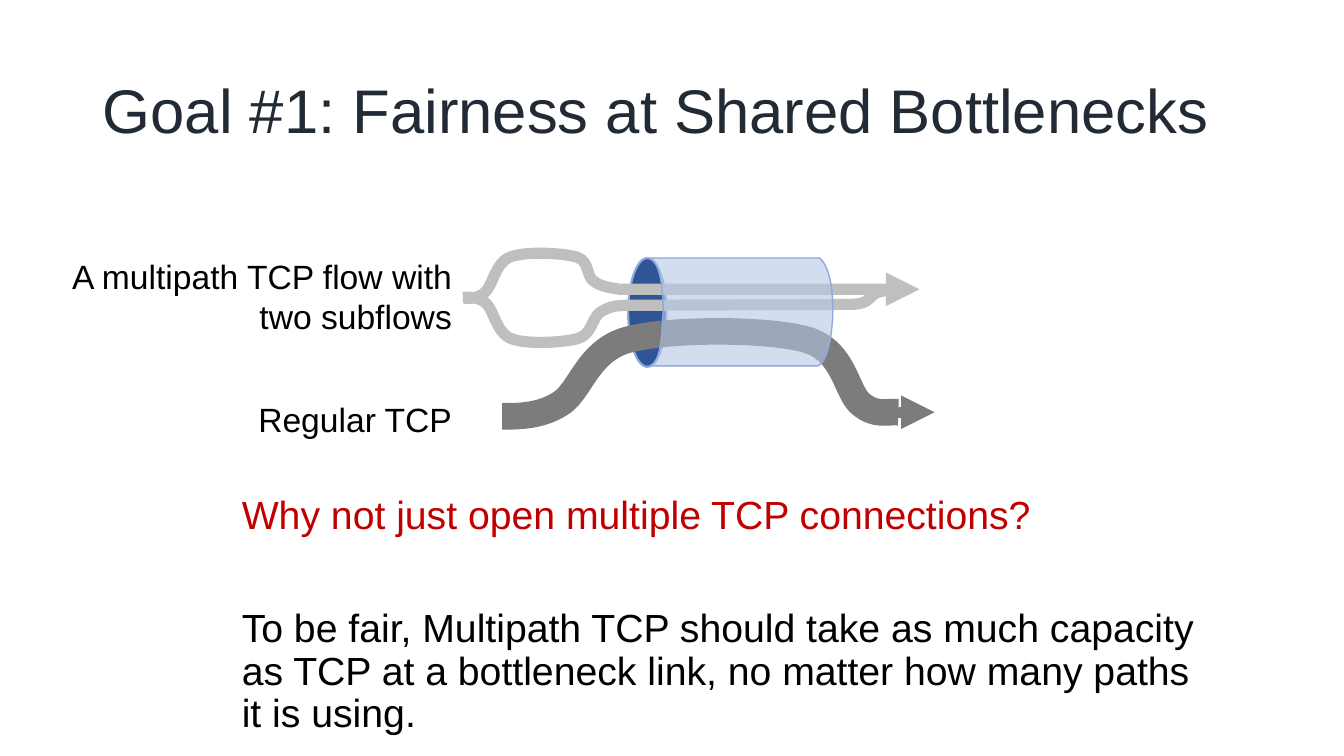
from lxml.etree import SubElement
from pptx import Presentation
from pptx.dml.color import RGBColor
from pptx.enum.shapes import MSO_CONNECTOR, MSO_SHAPE
from pptx.enum.text import MSO_ANCHOR, MSO_AUTO_SIZE, PP_ALIGN
from pptx.oxml.ns import qn
from pptx.util import Inches, Pt

NAVY = RGBColor(0x22, 0x2A, 0x35)
RED = RGBColor(0xC0, 0x00, 0x00)
BLACK = RGBColor(0, 0, 0)
PIPE_DARK = RGBColor(0x2F, 0x55, 0x97)
PIPE_EDGE = RGBColor(0x8F, 0xAA, 0xDC)
PIPE_LIGHT = RGBColor(0xB4, 0xC7, 0xE7)
LIGHT_GREY = RGBColor(0xBF, 0xBF, 0xBF)
DARK_GREY = RGBColor(0x7C, 0x7C, 0x7C)

# Content: text as (text, colour, space before)
TITLE = "Goal #1: Fairness at Shared Bottlenecks"
BODY = [
    ("Why not just open multiple TCP connections?", RED, 0),
    ("To be fair, Multipath TCP should take as much capacity as TCP at a "
     "bottleneck link, no matter how many paths it is using.", BLACK, 50.5),
]
LABELS = [
    ("A multipath TCP flow with two subflows", (0.47, 2.49, 4.11, 0.91)),
    ("Regular TCP", (1.43, 3.91, 3.15, 0.5)),
]

# Outlines: a start point, then steps of one point (line) or three (curve)
LOWER_SUBFLOW = [
    [(4.59, 2.95)],
    [(4.64, 2.95), (4.74, 2.94), (4.82, 3.01)],
    [(4.9, 3.08), (4.92, 3.3), (5.07, 3.36)],
    [(5.22, 3.42), (5.58, 3.4), (5.73, 3.36)],
    [(5.87, 3.32), (5.87, 3.16), (5.95, 3.1)],
    [(6.03, 3.05), (6.09, 3.03), (6.21, 3.03)],
    [(8.45, 3.02)],
    [(8.73, 3.01), (8.52, 2.86), (8.97, 2.88)],
]
UPPER_SUBFLOW = [
    [(4.6, 2.96)],
    [(4.64, 2.96), (4.73, 2.97), (4.81, 2.9)],
    [(4.89, 2.83), (4.91, 2.61), (5.06, 2.55)],
    [(5.21, 2.49), (5.58, 2.51), (5.72, 2.55)],
    [(5.85, 2.59), (5.81, 2.74), (5.89, 2.79)],
    [(5.96, 2.85), (6.1, 2.86), (6.15, 2.87)],
    [(9.12, 2.87)],
]
REGULAR_FLOW = [
    [(4.98, 4.13)],
    [(5.1, 4.13), (5.34, 4.14), (5.55, 4.01)],
    [(5.76, 3.89), (5.82, 3.48), (6.23, 3.37)],
    [(6.64, 3.26), (7.61, 3.26), (8, 3.37)],
    [(8.38, 3.48), (8.39, 3.89), (8.54, 4.01)],
    [(8.69, 4.13), (8.79, 4.08), (8.91, 4.09)],
]
PIPE_WALL = [
    [(6.45, 3.63)],
    [(8.11, 3.63)],
    [(8.22, 3.59), (8.26, 3.26), (8.26, 3.08)],
    [(8.26, 2.9), (8.24, 2.66), (8.13, 2.56)],
    [(6.45, 2.56)],
    [(6.56, 2.63), (6.57, 2.88), (6.58, 3.08)],
    [(6.56, 3.28), (6.57, 3.57), (6.45, 3.63)],
]

prs = Presentation()
prs.slide_width, prs.slide_height = Inches(13.33), Inches(7.5)
s = prs.slides.add_slide(prs.slide_layouts[5])


def style_run(p, size, color):
    font = p.runs[0].font
    font.name, font.size, font.color.rgb = "Arial", Pt(size), color


def style_line(sp, color, width, arrow=False):
    sp.line.color.rgb, sp.line.width = color, Pt(width)
    if arrow:
        SubElement(sp.line._get_or_add_ln(), qn("a:tailEnd"), type="triangle")


def add_outline(outline, color, width, arrow=False, closed=False):
    points = [(Inches(x), Inches(y)) for step in outline for x, y in step]
    builder = s.shapes.build_freeform(*points[0], scale=1.0)
    builder.add_line_segments(points[1:], close=closed)
    sp = builder.convert_to_shape()
    # Merge each run of three line segments that belongs to a curve
    segments = iter(list(sp._element.iter(qn("a:lnTo"))))
    for step in outline[1:]:
        first, *others = [next(segments) for _ in step]
        if others:
            first.tag = qn("a:cubicBezTo")
            for segment in others:
                first.append(segment[0])
                segment.getparent().remove(segment)
    sp.shadow.inherit = False
    sp.fill.background()
    style_line(sp, color, width, arrow)
    return sp


# Title
title = s.shapes.title
title.left, title.top, title.width, title.height = map(
    Inches, (0.92, 0.4, 11.5, 1.45))
tf = title.text_frame
tf.text = TITLE
tf.auto_size = MSO_AUTO_SIZE.NONE
tf.vertical_anchor = MSO_ANCHOR.MIDDLE
p = tf.paragraphs[0]
p.alignment, p.line_spacing = PP_ALIGN.LEFT, 0.9
style_run(p, 44, NAVY)

# Body, resting on the bottom edge
tf = s.shapes.add_textbox(*map(Inches, (2.3, 1.81, 9.87, 5.54))).text_frame
tf.word_wrap = True
tf.vertical_anchor = MSO_ANCHOR.BOTTOM
for i, (text, color, before) in enumerate(BODY):
    p = tf.add_paragraph() if i else tf.paragraphs[0]
    p.text = text
    p.line_spacing, p.space_before = 0.9, Pt(before)
    style_run(p, 28, color)

# Pipe mouth, flows, then the translucent wall over them
mouth = s.shapes.add_shape(MSO_SHAPE.OVAL, *map(Inches, (6.23, 2.56, 0.38, 1.08)))
mouth.shadow.inherit = False
mouth.fill.solid()
mouth.fill.fore_color.rgb = PIPE_DARK
style_line(mouth, PIPE_EDGE, 1.5)

add_outline(LOWER_SUBFLOW, LIGHT_GREY, 8)
add_outline(UPPER_SUBFLOW, LIGHT_GREY, 8, arrow=True)
add_outline(REGULAR_FLOW, DARK_GREY, 19)

wall = add_outline(PIPE_WALL, PIPE_EDGE, 1, closed=True)
wall.fill.solid()
wall.fill.fore_color.rgb = PIPE_LIGHT
rgb = wall._element.spPr.find(qn("a:solidFill"))[0]
SubElement(rgb, qn("a:alpha"), val="59000")

# Arrow that ends the regular flow
arrow = s.shapes.add_connector(MSO_CONNECTOR.STRAIGHT,
                               *map(Inches, (8.91, 4.09, 9.27, 4.09)))
style_line(arrow, DARK_GREY, 8, arrow=True)
SubElement(arrow._element.spPr, qn("a:effectLst"))

# Flow labels
for text, box in LABELS:
    tf = s.shapes.add_textbox(*map(Inches, box)).text_frame
    tf.word_wrap = True
    tf.text = text
    tf.paragraphs[0].alignment = PP_ALIGN.RIGHT
    style_run(tf.paragraphs[0], 24, BLACK)

prs.save("out.pptx")
